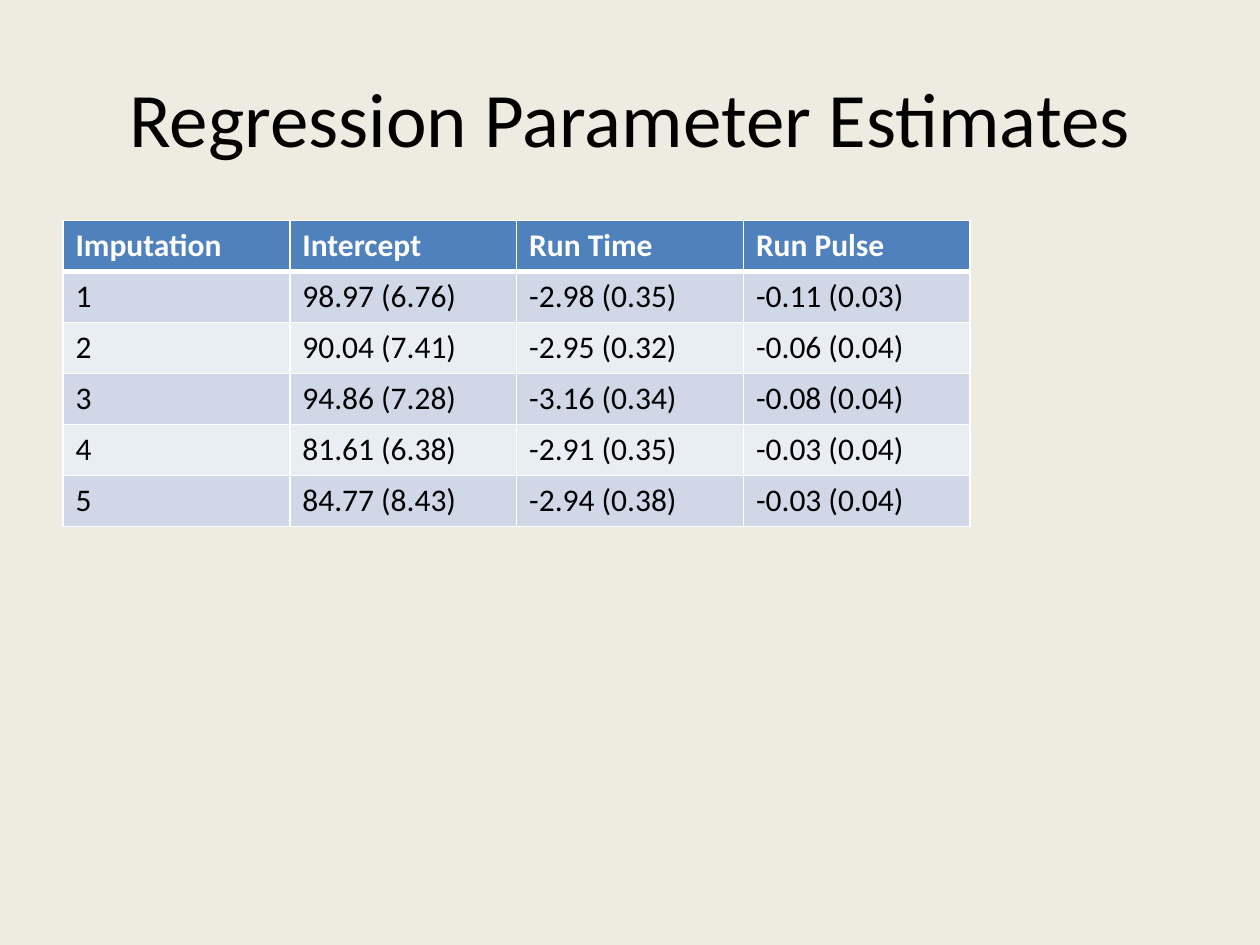
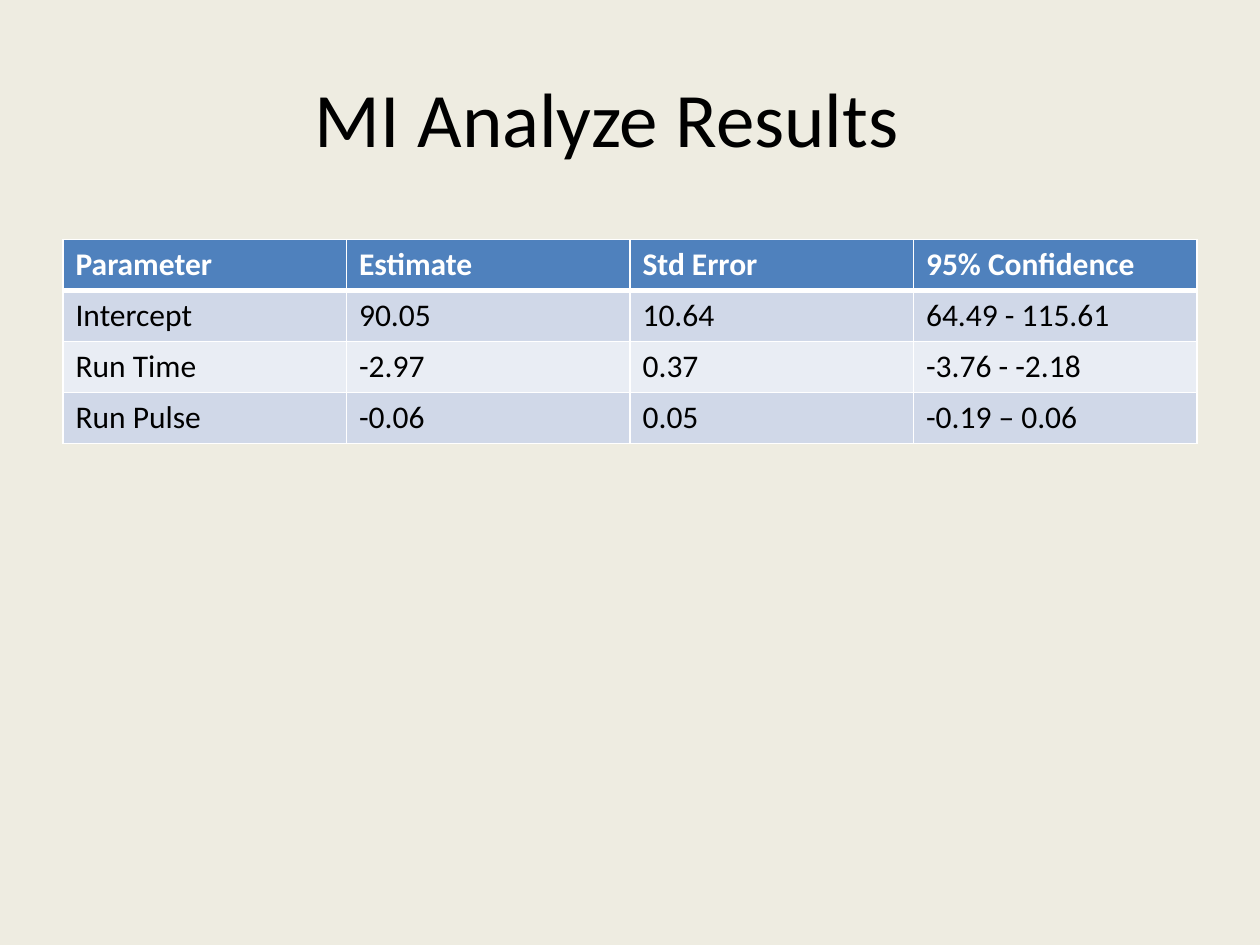
import pptx
import pptx.dml.color
import pptx.enum.text
import pptx.oxml
import pptx.oxml.ns
import pptx.util

Inches = pptx.util.Inches
Pt = pptx.util.Pt


def color(hex_string):
    return pptx.dml.color.RGBColor.from_string(hex_string)


class Deck:
    """Holds the shared style and the current slide."""

    FONT = "Calibri"
    BACKGROUND, INK, WHITE = "EEECE1", "000000", "FFFFFF"
    HEADER, BANDS = "4F81BD", ("D0D8E8", "E9EDF4")
    TITLE_TEXT = {"size": Pt(44), "bold": False}
    HEADER_TEXT = {"size": Pt(18), "bold": True}
    BODY_TEXT = {"size": Pt(18), "bold": False}
    LEFT = 0.5

    def __init__(self):
        self.presentation = pptx.Presentation()
        self.presentation.slide_width = Inches(10)
        self.presentation.slide_height = Inches(7.5)
        self.slide = None

    def add_slide(self, title):
        blank = self.presentation.slide_layouts[6]
        self.slide = self.presentation.slides.add_slide(blank)
        fill = self.slide.background.fill
        fill.solid()
        fill.fore_color.rgb = color(self.BACKGROUND)
        self.title(title)

    def add_text(self, paragraph, text, text_format, ink):
        run = paragraph.add_run()
        run.text = text
        for name, value in {"name": self.FONT, **text_format}.items():
            setattr(run.font, name, value)
        run.font.color.rgb = color(ink)

    def title(self, text):
        shape = self.slide.shapes.add_textbox(
            Inches(self.LEFT), Inches(0.3), Inches(9), Inches(1.25))
        frame = shape.text_frame
        frame.word_wrap = True
        frame.vertical_anchor = pptx.enum.text.MSO_ANCHOR.MIDDLE
        paragraph = frame.paragraphs[0]
        paragraph.alignment = pptx.enum.text.PP_ALIGN.CENTER
        self.add_text(paragraph, text, self.TITLE_TEXT, self.INK)

    def borders(self, cell, row):
        # The line below the header is shared by rows 0 and 1
        widths = {"L": 1, "R": 1, "T": 3 if row == 1 else 1, "B": 3 if row == 0 else 1}
        properties = cell._tc.get_or_add_tcPr()
        for side, width in widths.items():
            properties.append(pptx.oxml.parse_xml(
                f'<a:ln{side} {pptx.oxml.ns.nsdecls("a")} w="{Pt(width)}">'
                f'<a:solidFill><a:srgbClr val="{self.WHITE}"/></a:solidFill>'
                f'</a:ln{side}>'))

    def table(self, top, width, height, rows):
        table = self.slide.shapes.add_table(
            len(rows), len(rows[0]), Inches(self.LEFT), Inches(top),
            Inches(width), Inches(height)).table
        for row, texts in enumerate(rows):
            if row == 0:
                fill, text_format, ink = self.HEADER, self.HEADER_TEXT, self.WHITE
            else:
                fill, text_format, ink = self.BANDS[(row - 1) % 2], self.BODY_TEXT, self.INK
            for column, text in enumerate(texts):
                cell = table.cell(row, column)
                self.borders(cell, row)
                cell.fill.solid()
                cell.fill.fore_color.rgb = color(fill)
                self.add_text(cell.text_frame.paragraphs[0], text, text_format, ink)


deck = Deck()

# Estimates for each imputation
deck.add_slide("Regression Parameter Estimates")
deck.table(1.75, 7.2, 2.43, [
    ("Imputation", "Intercept", "Run Time", "Run Pulse"),
    ("1", "98.97 (6.76)", "-2.98 (0.35)", "-0.11 (0.03)"),
    ("2", "90.04 (7.41)", "-2.95 (0.32)", "-0.06 (0.04)"),
    ("3", "94.86 (7.28)", "-3.16 (0.34)", "-0.08 (0.04)"),
    ("4", "81.61 (6.38)", "-2.91 (0.35)", "-0.03 (0.04)"),
    ("5", "84.77 (8.43)", "-2.94 (0.38)", "-0.03 (0.04)"),
])

# Pooled results; the tab sets the title left of centre
deck.add_slide("MI Analyze Results\t")
deck.table(1.9, 9, 1.62, [
    ("Parameter", "Estimate", "Std Error", "95% Confidence"),
    ("Intercept", "90.05", "10.64", "64.49 - 115.61"),
    ("Run Time", "-2.97", "0.37", "-3.76 - -2.18"),
    ("Run Pulse", "-0.06", "0.05", "-0.19 – 0.06"),
])

deck.presentation.save("out.pptx")
